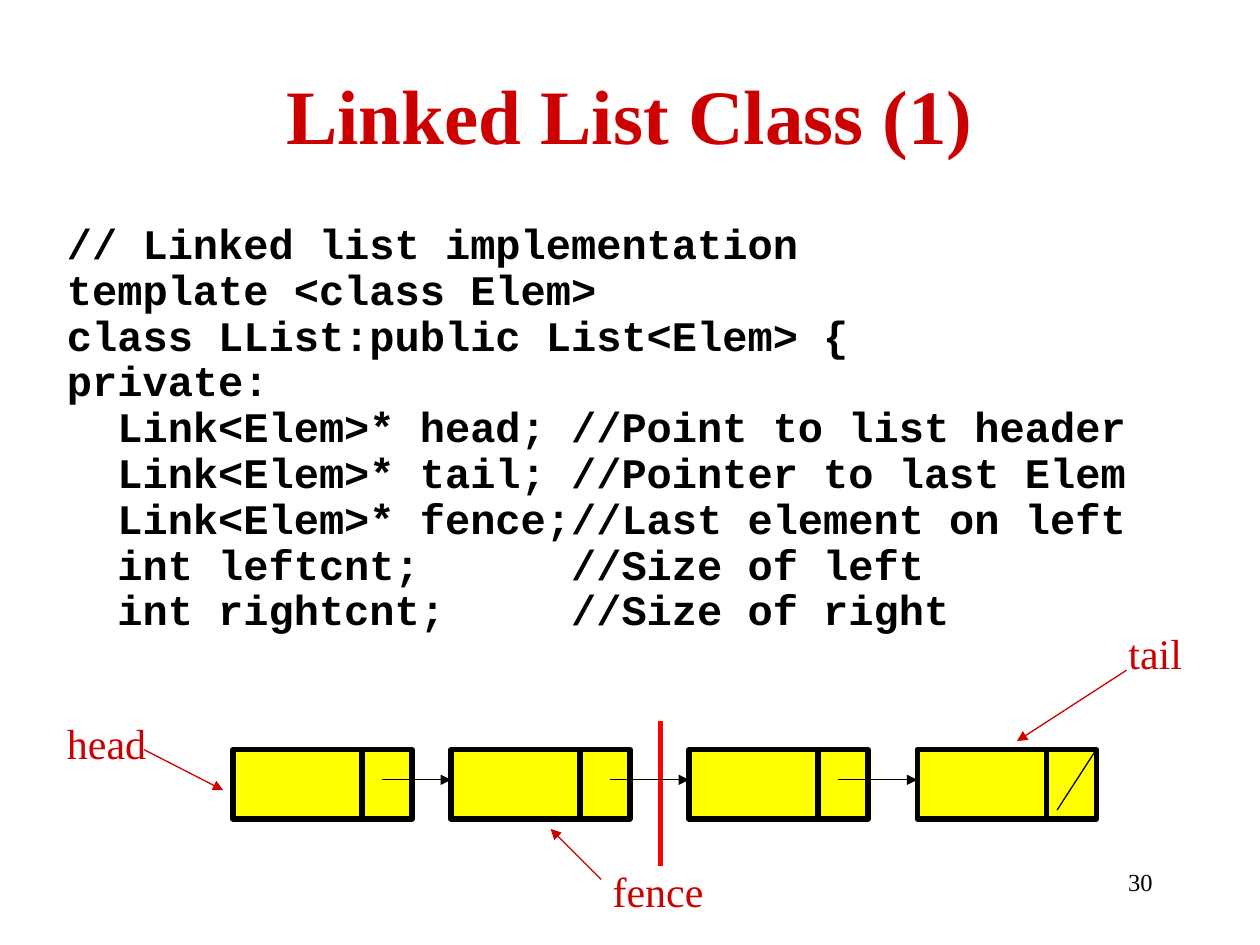
from dataclasses import dataclass

from lxml import etree
from pptx import Presentation
from pptx.dml.color import RGBColor
from pptx.enum.shapes import MSO_CONNECTOR, MSO_SHAPE
from pptx.enum.text import MSO_ANCHOR, MSO_AUTO_SIZE, PP_ALIGN
from pptx.oxml.ns import qn
from pptx.util import Cm, Pt

STRAIGHT = MSO_CONNECTOR.STRAIGHT
RECTANGLE = MSO_SHAPE.RECTANGLE
MIDDLE = MSO_ANCHOR.MIDDLE
FIT_SHAPE = MSO_AUTO_SIZE.SHAPE_TO_FIT_TEXT
NO_FIT = MSO_AUTO_SIZE.NONE
LEFT, CENTER, RIGHT = PP_ALIGN.LEFT, PP_ALIGN.CENTER, PP_ALIGN.RIGHT


@dataclass(frozen=True)
class Theme:
    black: RGBColor = RGBColor(0x00, 0x00, 0x00)
    accent: RGBColor = RGBColor(0xCC, 0x00, 0x00)
    fence: RGBColor = RGBColor(0xFF, 0x00, 0x00)
    node: RGBColor = RGBColor(0xFF, 0xFF, 0x00)
    serif: str = "Times New Roman"
    mono: str = "Courier New"
    title_size: float = 44
    text_size: float = 24
    number_size: float = 14
    thick: float = 3
    thin: float = 0.75


@dataclass(frozen=True)
class Pointer:
    name: str
    left: float
    top: float
    width: float
    start: tuple[float, float]
    end: tuple[float, float]


@dataclass(frozen=True)
class Node:
    left: float
    link_offset: float = 3.0


THEME = Theme()
NODE_TOP, NODE_WIDTH, NODE_HEIGHT = 15.11, 3.61, 1.4
DIVIDER_OFFSET = 2.6
LINK_Y = 15.72
LABEL_HEIGHT = 1.27

CODE = """// Linked list implementation
template <class Elem>
class LList:public List<Elem> {
private:
  Link<Elem>* head; //Point to list header
  Link<Elem>* tail; //Pointer to last Elem
  Link<Elem>* fence;//Last element on left
  int leftcnt;      //Size of left
  int rightcnt;     //Size of right"""

POINTERS = [
    Pointer("head", 1.1, 14.33, 2.11, (2.9, 15.11), (4.5, 15.93)),
    Pointer("tail", 22.5, 12.52, 1.62, (22.71, 13.51), (20.5, 14.94)),
    Pointer("fence", 12.1, 17.32, 2.34, (12.12, 17.73), (11.1, 16.71)),
]
NODES = [Node(4.7), Node(9.09, 3.2), Node(13.89), Node(18.49)]


def write_text(shape, text: str, *, size: float, color: RGBColor,
               font: str = THEME.serif, bold: bool = False, align=LEFT,
               line_spacing: float = 1.0, space_before: float = 0) -> None:
    frame = shape.text_frame
    for index, line in enumerate(text.split("\n")):
        paragraph = frame.add_paragraph() if index else frame.paragraphs[0]
        paragraph.alignment = align
        paragraph.line_spacing = line_spacing
        paragraph.space_before = Pt(space_before if index else 0)
        run = paragraph.add_run()
        run.text = line
        run.font.name = font
        run.font.size = Pt(size)
        run.font.bold = bold
        run.font.color.rgb = color


def add_text_box(slide, left: float, top: float, width: float, height: float,
                 *, wrap: bool = True):
    shape = slide.shapes.add_textbox(Cm(left), Cm(top), Cm(width), Cm(height))
    shape.text_frame.word_wrap = wrap
    shape.text_frame.auto_size = NO_FIT if wrap else FIT_SHAPE
    return shape


def add_line(shapes, start: tuple[float, float], end: tuple[float, float],
             *, color: RGBColor = THEME.black, weight: float = THEME.thin,
             arrow: bool = False) -> None:
    connector = shapes.add_connector(STRAIGHT, *map(Cm, start + end))
    connector.line.color.rgb = color
    connector.line.width = Pt(weight)
    if arrow:
        line = connector.line._get_or_add_ln()
        etree.SubElement(line, qn("a:tailEnd"), type="triangle")
    etree.SubElement(connector._element.spPr, qn("a:effectLst"))


def add_node(slide, node: Node) -> None:
    group = slide.shapes.add_group_shape()
    box = group.shapes.add_shape(RECTANGLE, Cm(node.left), Cm(NODE_TOP),
                                 Cm(NODE_WIDTH), Cm(NODE_HEIGHT))
    box.shadow.inherit = False
    box.fill.solid()
    box.fill.fore_color.rgb = THEME.node
    box.line.color.rgb = THEME.black
    box.line.width = Pt(THEME.thick)
    divider = node.left + DIVIDER_OFFSET
    add_line(group.shapes, (divider, NODE_TOP),
             (divider, NODE_TOP + NODE_HEIGHT), weight=THEME.thick)


def add_pointer(slide, pointer: Pointer) -> None:
    add_line(slide.shapes, pointer.start, pointer.end,
             color=THEME.accent, arrow=True)
    label = add_text_box(slide, pointer.left, pointer.top, pointer.width,
                         LABEL_HEIGHT, wrap=False)
    write_text(label, pointer.name, size=THEME.text_size, color=THEME.accent)


def add_list_diagram(slide) -> None:
    add_line(slide.shapes, (13.31, 14.53), (13.31, 17.45),
             color=THEME.fence, weight=THEME.thick)
    for pointer in POINTERS:
        add_pointer(slide, pointer)
    for node in NODES:
        add_node(slide, node)
    for node, following in zip(NODES, NODES[1:]):
        add_line(slide.shapes, (node.left + node.link_offset, LINK_Y),
                 (following.left, LINK_Y), arrow=True)
    add_line(slide.shapes, (21.31, 16.33),
             (NODES[-1].left + NODE_WIDTH, NODE_TOP))


def main() -> None:
    presentation = Presentation()
    presentation.slide_width = Cm(25.4)
    presentation.slide_height = Cm(19.05)
    slide = presentation.slides.add_slide(presentation.slide_layouts[5])

    title = slide.shapes.title
    title.left, title.top = Cm(1.27), Cm(1.02)
    title.width, title.height = Cm(22.86), Cm(2.54)
    title.text_frame.vertical_anchor = MIDDLE
    write_text(title, "Linked List Class (1)", size=THEME.title_size,
               color=THEME.accent, bold=True, align=CENTER)

    code = add_text_box(slide, 1.1, 4.54, 22.86, 12.7)
    write_text(code, CODE, size=THEME.text_size, color=THEME.black,
               font=THEME.mono, bold=True, line_spacing=0.7, space_before=6)

    number = add_text_box(slide, 18.21, 17.35, 5.28, 1.27)
    write_text(number, "30", size=THEME.number_size, color=THEME.black,
               align=RIGHT)

    add_list_diagram(slide)
    presentation.save("out.pptx")


if __name__ == "__main__":
    main()
